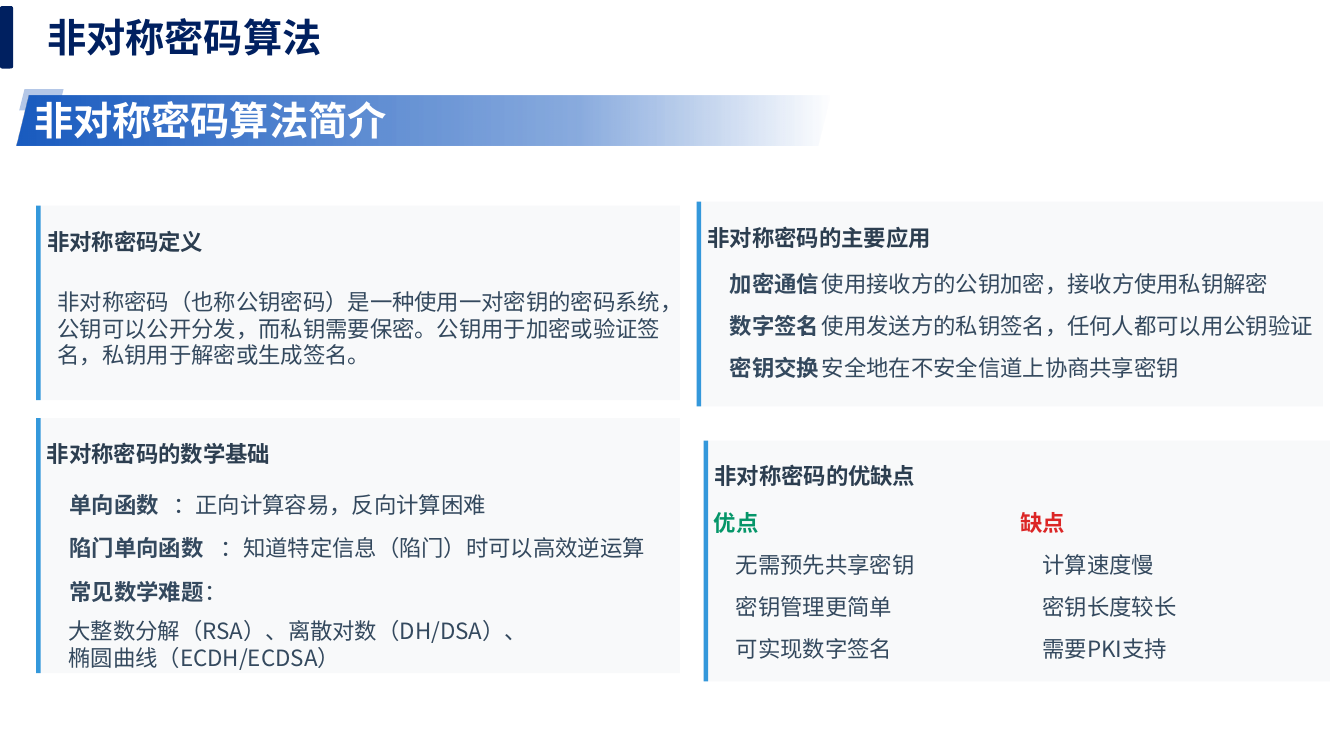
from lxml import etree
from pptx import Presentation
from pptx.dml.color import RGBColor as RGB
from pptx.enum.shapes import MSO_SHAPE as SHAPE
from pptx.enum.text import MSO_ANCHOR as ANCHOR
from pptx.oxml.ns import qn
from pptx.util import Inches, Pt

THEME = dict(font="Noto Sans CJK SC", title=28, body=16, navy="002060", tab="B4C7E7",
             banner="1A5CC0", white="FFFFFF", card="F8F9FA", accent="3498DB",
             heading="2C3E50", text="34495E", pro="059669", con="DC2626")

prs = Presentation()
prs.slide_width, prs.slide_height = Inches(13.33), Inches(7.5)
s = prs.slides.add_slide(prs.slide_layouts[6])
COL, ROW = prs.slide_width / 100, prs.slide_height / 100
EM = Pt(THEME["body"]) / COL  # one body character, in columns
LINE = 3.6  # one body line, in rows


def block(kind, x, y, w, h, color):
    sp = s.shapes.add_shape(kind, int(x * COL), int(y * ROW), int(w * COL), int(h * ROW))
    sp.shadow.inherit = False
    sp.fill.solid()
    sp.fill.fore_color.rgb = RGB.from_string(THEME[color])
    sp.line.fill.background()
    return sp


def label(x, y, lines, color="text", bold=False, size="body", w=None, rows=1):
    """Place vertically centred lines; without a width the box fits one line and does not wrap."""
    box_w = w or len(lines[0]) * EM
    sp = s.shapes.add_textbox(int(x * COL), int(y * ROW), int(box_w * COL), int(rows * LINE * ROW))
    tf = sp.text_frame
    tf.margin_left = tf.margin_right = tf.margin_top = tf.margin_bottom = 0
    tf.vertical_anchor = ANCHOR.MIDDLE
    tf.word_wrap = w is not None
    for i, line in enumerate(lines):
        p = tf.add_paragraph() if i else tf.paragraphs[0]
        p.add_run().text = line
        p.font.name, p.font.size, p.font.bold = THEME["font"], Pt(THEME[size]), bold
        p.font.color.rgb = RGB.from_string(THEME[color])
        etree.SubElement(p._p.pPr.find(qn("a:defRPr")), qn("a:ea"), typeface=THEME["font"])
    return tf


# Title and banner
block(SHAPE.ROUNDED_RECTANGLE, 0, 0.8, 0.98, 8.27, "navy")
label(3.53, 1.07, ["非对称密码算法"], "navy", True, "title", w=58, rows=2.1)
block(SHAPE.PARALLELOGRAM, 1.43, 11.8, 3.3, 2.8, "tab")
banner = block(SHAPE.PARALLELOGRAM, 1.27, 12.6, 60.54, 6.67, "banner")
banner.fill.gradient()
banner.fill.gradient_angle = 0
stops = banner._element.spPr.find(qn("a:gradFill")).find(qn("a:gsLst"))
for stop in list(stops):
    stops.remove(stop)
for pos, alpha in ((0, 100), (69, 51), (100, 0)):
    stop = etree.SubElement(stops, qn("a:gs"), pos=str(pos * 1000))
    color = etree.SubElement(stop, qn("a:srgbClr"), val=THEME["banner"])
    etree.SubElement(color, qn("a:alpha"), val=str(alpha * 1000))
label(2.55, 12.13, ["非对称密码算法简介"], "white", True, "title", w=54, rows=2.1)

# Cards with their headings
for x, y, w, h, heading in (
    (2.7, 27.2, 47.9, 25.73, "非对称密码定义"),
    (2.7, 55.33, 47.9, 33.73, "非对称密码的数学基础"),
    (51.84, 26.67, 46.59, 27.07, "非对称密码的主要应用"),
    (52.36, 58.27, 46.59, 31.87, "非对称密码的优缺点"),
):
    block(SHAPE.RECTANGLE, x, y, w, h, "card")
    block(SHAPE.RECTANGLE, x, y, 0.33, h, "accent")
    label(x + 0.8, y + 2.9, [heading], "heading", True)

# Definition
label(4.28, 38, ["非对称密码（也称公钥密码）是一种使用一对密钥的密码系统，"
                 "公钥可以公开分发，而私钥需要保密。公钥用于加密或验证签名，"
                 "私钥用于解密或生成签名。"], w=46.29, rows=3)

# Terms with explanations: left, top, row step, then (term, explanation, its left)
for x, y, step, terms in (
    (5.18, 64.93, 5.73, (("单向函数", "：正向计算容易，反向计算困难", 12.9),
                         ("陷门单向函数", "：知道特定信息（陷门）时可以高效逆运算", 16.43),
                         ("常见数学难题", "：", 5.18 + 6 * EM))),
    (54.31, 35.73, 5.55, (("加密通信", "：使用接收方的公钥加密，接收方使用私钥解密", 59.49),
                          ("数字签名", "：使用发送方的私钥签名，任何人都可以用公钥验证", 59.49),
                          ("密钥交换", "：安全地在不安全信道上协商共享密钥", 59.49))),
):
    for i, (term, explanation, left) in enumerate(terms):
        label(x, y + i * step, [term], bold=True)
        label(left, y + i * step, [explanation])
label(5.1, 81.6, ["大整数分解（RSA）、离散对数（DH/DSA）、", "椭圆曲线（ECDH/ECDSA）"], w=40.74, rows=2)

# Pros and cons
for x, head, color, points in (
    (53.11, "优点", "pro", ("无需预先共享密钥", "密钥管理更简单", "可实现数字签名")),
    (75.92, "缺点", "con", ("计算速度慢", "密钥长度较长", "需要PKI支持")),
):
    label(x, 67.33, [head], color, True)
    for i, point in enumerate(points, 1):
        label(x + 1.65, 67.33 + i * 5.55, [point], w=9.3 if "PKI" in point else None)

prs.save("out.pptx")
